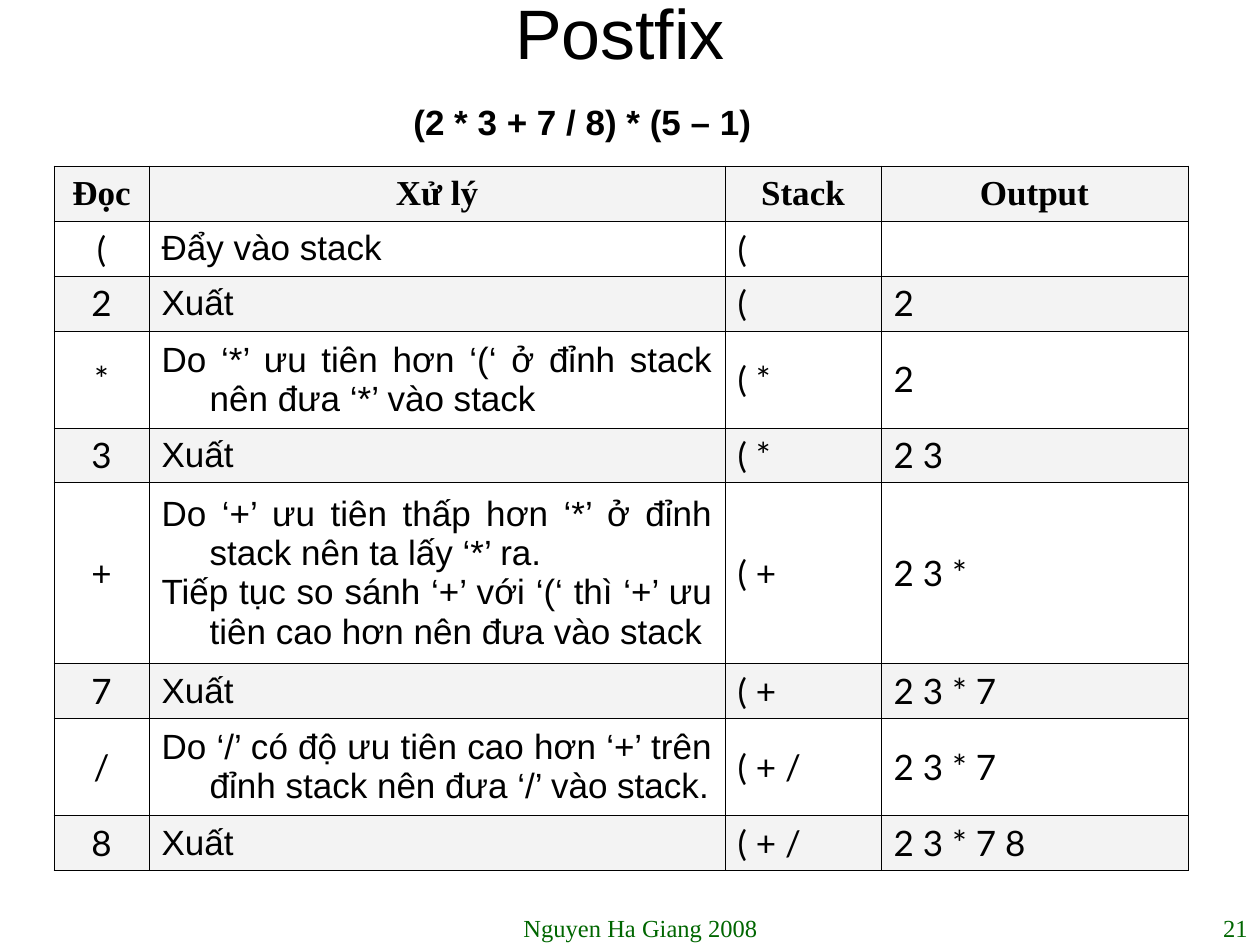
import pptx
import pptx.dml.color
import pptx.enum.text
import pptx.oxml
import pptx.oxml.ns
import pptx.util

PX = 914400 // 126
BLACK = pptx.dml.color.RGBColor(0x00, 0x00, 0x00)
GREEN = pptx.dml.color.RGBColor(0x00, 0x66, 0x00)
GREY = pptx.dml.color.RGBColor(0xF3, 0xF3, 0xF3)
WHITE = pptx.dml.color.RGBColor(0xFF, 0xFF, 0xFF)
ALIGN = pptx.enum.text.PP_ALIGN
ANCHOR = pptx.enum.text.MSO_ANCHOR


def style(p, font, size, color, bold, align):
    p.alignment = align
    p.font.name = font
    p.font.size = pptx.util.Pt(size)
    p.font.color.rgb = color
    p.font.bold = bold


def set_borders(cell):
    tcPr = cell._tc.get_or_add_tcPr()
    for i, side in enumerate("LRTB"):
        ln = pptx.oxml.parse_xml(
            f'<a:ln{side} {pptx.oxml.ns.nsdecls("a")} w="5715"><a:solidFill>'
            f'<a:srgbClr val="{BLACK}"/></a:solidFill></a:ln{side}>')
        tcPr.insert(i, ln)


prs = pptx.Presentation()
prs.slide_width = pptx.util.Inches(10)
prs.slide_height = pptx.util.Inches(7.5)
s = prs.slides.add_slide(prs.slide_layouts[6])

texts = [
    ("Postfix", 53, 0, 1134, 63, "Arial", 40, BLACK, False, ALIGN.CENTER, ANCHOR.MIDDLE),
    ("(2 * 3 + 7 / 8) * (5 – 1)", 401, 94, 420, 55, "Arial", 20, BLACK, True, ALIGN.LEFT, ANCHOR.MIDDLE),
    ("Nguyen Ha Giang 2008", 441, 907, 399, 34, "Times New Roman", 14, GREEN, False, ALIGN.CENTER, ANCHOR.TOP),
    ("21", 966, 907, 294, 34, "Times New Roman", 14, GREEN, False, ALIGN.RIGHT, ANCHOR.TOP),
]
for text, x, y, w, h, font, size, color, bold, align, anchor in texts:
    sp = s.shapes.add_textbox(x * PX, y * PX, w * PX, h * PX)
    tf = sp.text_frame
    tf.word_wrap = True
    tf.vertical_anchor = anchor
    p = tf.paragraphs[0]
    p.text = text
    style(p, font, size, color, bold, align)

rows = [
    ("Đọc", "Xử lý", "Stack", "Output"),
    ("(", "Đẩy vào stack", "(", ""),
    ("2", "Xuất", "(", "2"),
    ("*", "Do ‘*’ ưu tiên hơn ‘(‘ ở đỉnh stack nên đưa ‘*’ vào stack", "( *", "2"),
    ("3", "Xuất", "( *", "2 3"),
    ("+", "Do ‘+’ ưu tiên thấp hơn ‘*’ ở đỉnh stack nên ta lấy ‘*’ ra.\n"
     "Tiếp tục so sánh ‘+’ với ‘(‘ thì ‘+’ ưu tiên cao hơn nên đưa vào stack",
     "( +", "2 3 *"),
    ("7", "Xuất", "( +", "2 3 * 7"),
    ("/", "Do ‘/’ có độ ưu tiên cao hơn ‘+’ trên đỉnh stack nên đưa ‘/’ vào stack.",
     "( + /", "2 3 * 7"),
    ("8", "Xuất", "( + /", "2 3 * 7 8"),
]
widths = [95, 576, 156, 307]
heights = [55, 55, 55, 97, 55, 181, 55, 97, 55]
table = s.shapes.add_table(len(rows), len(widths), 54 * PX, 166 * PX,
                           sum(widths) * PX, sum(heights) * PX).table
for col, w in zip(table.columns, widths):
    col.width = w * PX
for row, h in zip(table.rows, heights):
    row.height = h * PX

for r, row in enumerate(rows):
    for c, text in enumerate(row):
        cell = table.cell(r, c)
        cell.fill.solid()
        cell.fill.fore_color.rgb = WHITE if r % 2 else GREY
        cell.vertical_anchor = ANCHOR.MIDDLE
        set_borders(cell)
        cell.text = text
        header = r == 0
        font = "Times New Roman" if header else "Arial" if c == 1 else "Lato"
        align = ALIGN.CENTER if header or c == 0 else ALIGN.JUSTIFY
        for p in cell.text_frame.paragraphs:
            style(p, font, 20, BLACK, header, align)
            pPr = p._p.get_or_add_pPr()
            pPr.set("marL", str(48 * PX))
            pPr.set("indent", str(-48 * PX))

prs.save("out.pptx")
